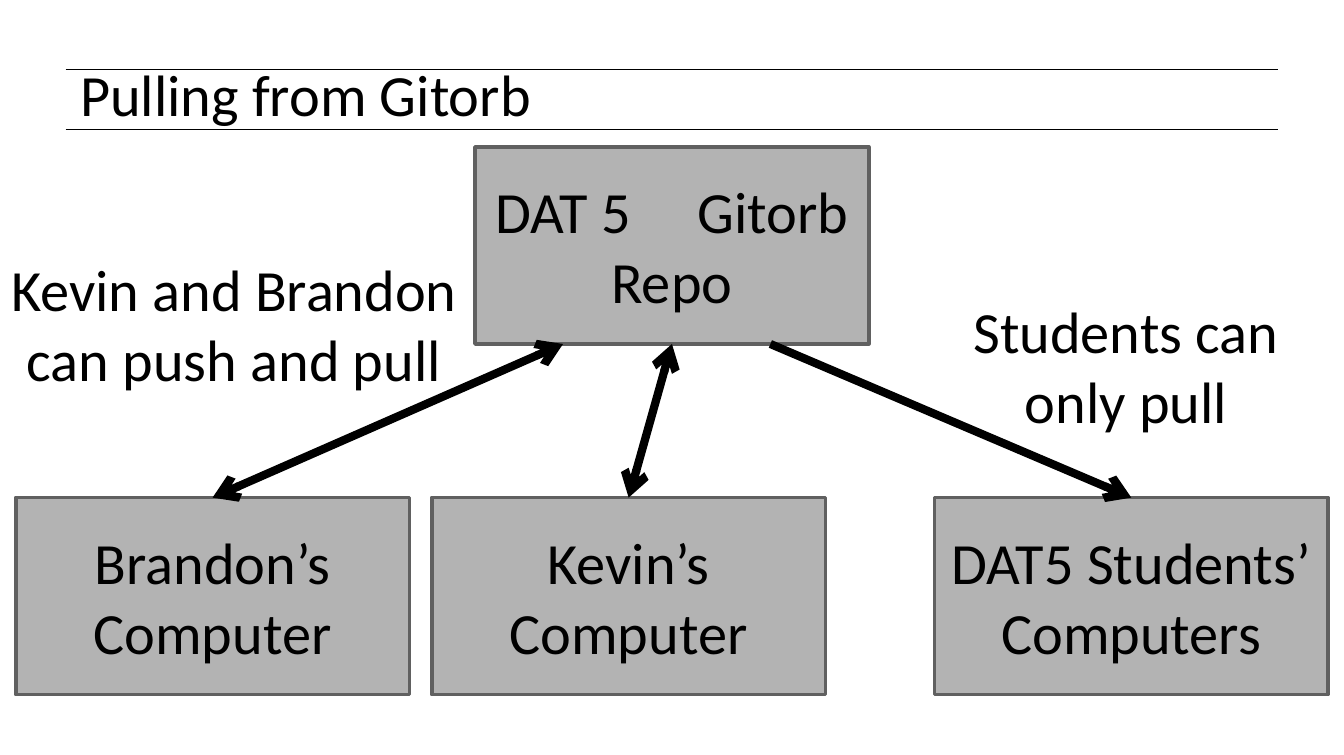
from lxml import etree
from pptx import Presentation
from pptx import util as u
from pptx.dml import color
from pptx.enum import shapes, text
from pptx.oxml import ns

COLORS = {"ink": "000000", "box": "B3B3B3", "border": "606060"}


def format_text(shape, alignment):
    """Apply the common type style to every paragraph of a shape."""
    shape.text_frame.word_wrap = True
    for paragraph in shape.text_frame.paragraphs:
        paragraph.alignment = alignment
        for run in paragraph.runs:
            run.font.size = u.Pt(32)
            run.font.name = "Calibri"
            run.font.color.rgb = color.RGBColor.from_string(COLORS["ink"])


def add_line(start, end, width, arrowheads=()):
    """Draw a black line without shadow, with open arrowheads where asked."""
    points = [u.Pt(value) for value in (*start, *end)]
    line = slide.shapes.add_connector(shapes.MSO_CONNECTOR.STRAIGHT, *points)
    line.line.width = u.Pt(width)
    line.line.color.rgb = color.RGBColor.from_string(COLORS["ink"])
    outline = line.line._get_or_add_ln()
    for arrowhead in arrowheads:
        etree.SubElement(outline, ns.qn(f"a:{arrowhead}"), type="arrow")
    etree.SubElement(line._element.spPr, ns.qn("a:effectLst"))
    return line


presentation = Presentation()
presentation.slide_width, presentation.slide_height = u.Pt(737.28), u.Pt(414)
slide = presentation.slides.add_slide(presentation.slide_layouts[5])

# Title between two rules
for rule_top in (38.16, 71.28):
    add_line((36, rule_top), (701.28, rule_top), 0.5)
title = slide.shapes.title
title.left, title.top = u.Pt(36.72), u.Pt(16.56)
title.width, title.height = u.Pt(663.84), u.Pt(69.12)
title.text_frame.text = "Pulling from Gitorb"
title.text_frame.vertical_anchor = text.MSO_ANCHOR.MIDDLE
title.text_frame.auto_size = text.MSO_AUTO_SIZE.NONE
format_text(title, text.PP_ALIGN.LEFT)

# Repository and computers
BOX_WIDTH, BOX_HEIGHT = 216, 108
REPO_TOP, COMPUTER_TOP = 80.64, 272.88
boxes = {}
for name, left, top, label in (
    ("repo", 260.64, REPO_TOP, ("DAT 5", " ", "Gitorb Repo")),
    ("brandon", 8.64, COMPUTER_TOP, ("Brandon’s Computer",)),
    ("kevin", 236.88, COMPUTER_TOP, ("Kevin’s Computer",)),
    ("students", 512.64, COMPUTER_TOP, ("DAT5 Students’ Computers",)),
):
    box = slide.shapes.add_shape(
        shapes.MSO_SHAPE.RECTANGLE,
        u.Pt(left), u.Pt(top), u.Pt(BOX_WIDTH), u.Pt(BOX_HEIGHT),
    )
    box.shadow.inherit = False
    box.fill.solid()
    box.fill.fore_color.rgb = color.RGBColor.from_string(COLORS["box"])
    box.line.color.rgb = color.RGBColor.from_string(COLORS["border"])
    box.line.width = u.Pt(2)
    box.text_frame.vertical_anchor = text.MSO_ANCHOR.MIDDLE
    for part in label:
        box.text_frame.paragraphs[0].add_run().text = part
    format_text(box, text.PP_ALIGN.CENTER)
    boxes[name] = box

# Wide gap after the course name, set by character spacing
gap = boxes["repo"].text_frame.paragraphs[0].runs[1]
gap.font._element.set("spc", "2900")

# Arrows from the repository to each computer
BOTH_ENDS = ("headEnd", "tailEnd")
for name, start_x, arrowheads in (
    ("brandon", 308.88, BOTH_ENDS),
    ("kevin", 368.64, BOTH_ENDS),
    ("students", 422.64, ("tailEnd",)),
):
    start = (start_x, REPO_TOP + BOX_HEIGHT)
    end = (boxes[name].left.pt + BOX_WIDTH / 2, COMPUTER_TOP)
    arrow = add_line(start, end, 4.5, arrowheads)
    arrow.end_connect(boxes[name], 0)
    if name == "kevin":
        arrow.begin_connect(boxes["repo"], 2)

# Captions
for left, top, width, caption in (
    (-9.36, 135.36, 275.76, "Kevin and Brandon can push and pull"),
    (506.88, 158.4, 221.76, "Students can only pull"),
):
    caption_box = slide.shapes.add_textbox(
        u.Pt(left), u.Pt(top), u.Pt(width), u.Pt(84.96)
    )
    caption_box.text_frame.text = caption
    caption_box.text_frame.auto_size = text.MSO_AUTO_SIZE.SHAPE_TO_FIT_TEXT
    format_text(caption_box, text.PP_ALIGN.CENTER)

presentation.save("out.pptx")
